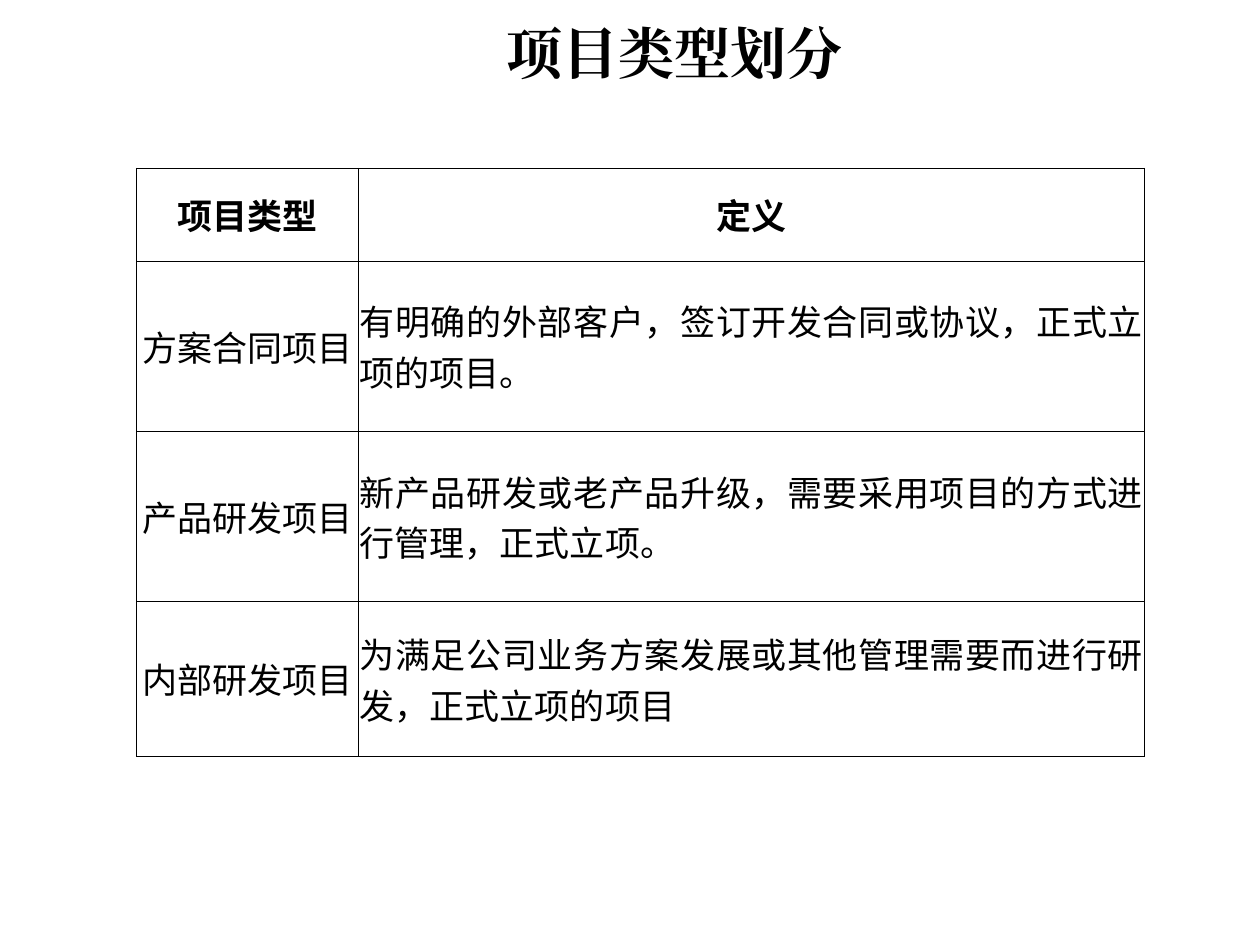
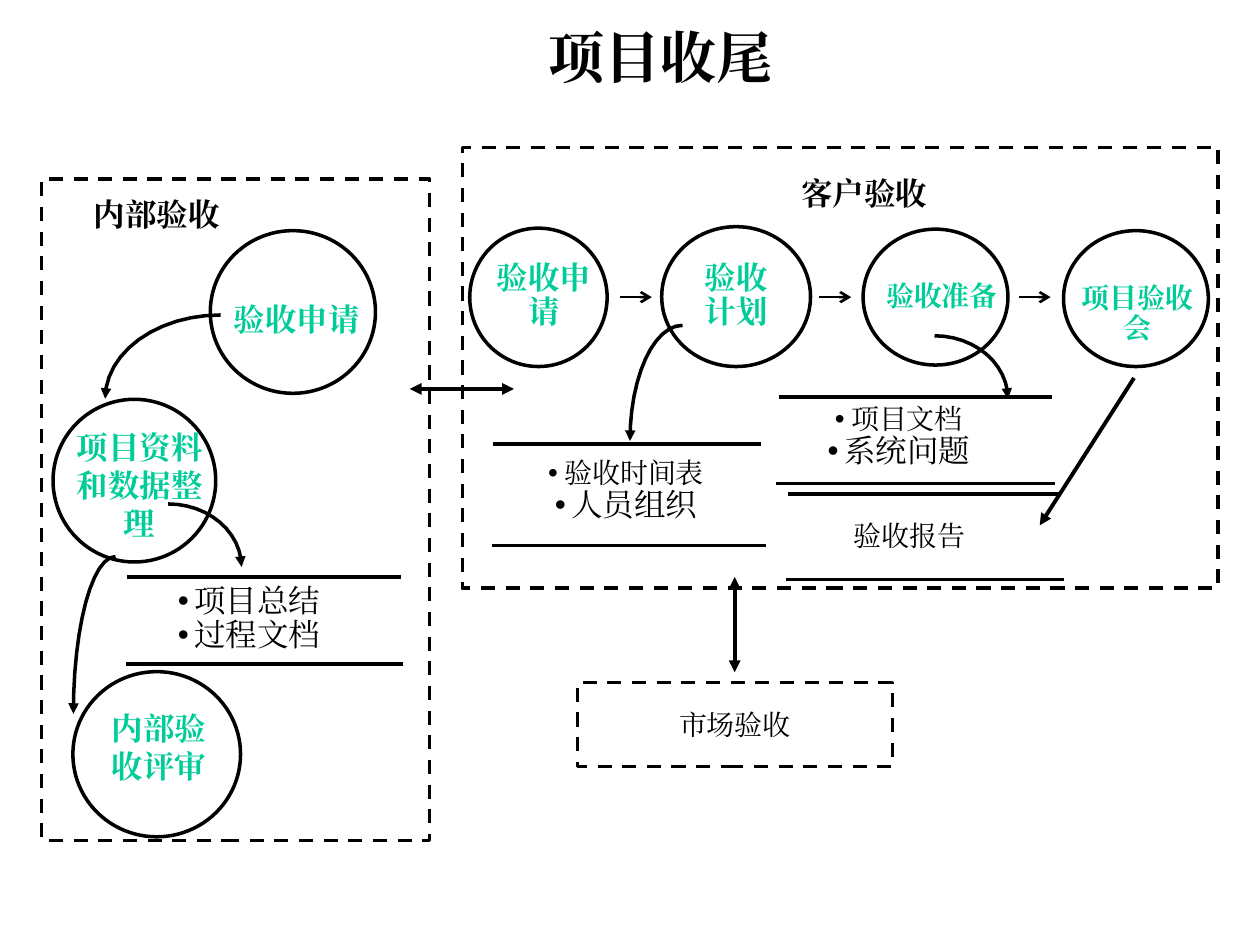
from math import cos, pi, sin
from lxml.etree import SubElement
from pptx import Presentation
from pptx.dml.color import RGBColor
from pptx.enum.dml import MSO_LINE
from pptx.enum.shapes import MSO_CONNECTOR as Link, MSO_SHAPE as Shape
from pptx.enum.text import MSO_ANCHOR as Anchor, PP_ALIGN as Align
from pptx.oxml.ns import qn
from pptx.util import Cm, Pt

BLACK, WHITE, GREEN = "000000", "FFFFFF", "00CC99"
SERIF, SANS = "Times New Roman", "Noto Sans CJK SC"


def tint(fill, color):
    fill.solid()
    fill.fore_color.rgb = RGBColor.from_string(color)


def write(frame, lines, sizes, color=BLACK, bold=False, face=SERIF,
          align=Align.CENTER, space=1.0, dots=False):
    for i, (line, size) in enumerate(zip(lines, sizes)):
        para = frame.paragraphs[0] if i == 0 else frame.add_paragraph()
        para.alignment = align
        para.line_spacing = space
        if dots:
            props = para._p.get_or_add_pPr()
            props.set("marL", str(Cm(0.33)))
            props.set("indent", str(-Cm(0.33)))
            shade = SubElement(props, qn("a:buClr"))
            SubElement(shade, qn("a:srgbClr"), val=BLACK)
            SubElement(props, qn("a:buFont"), typeface="Arial")
            SubElement(props, qn("a:buChar"), char="•")
        run = para.add_run()
        run.text = line
        for name, value in {"size": Pt(size), "bold": bold, "name": face}.items():
            setattr(run.font, name, value)
        tint(run.font.fill, color)
        SubElement(run._r.get_or_add_rPr(), qn("a:ea"), typeface=face)


deck = Presentation()
deck.slide_width, deck.slide_height = Cm(25.4), Cm(19.05)
pages = []
for text, box in [
    ("项目类型划分", (9.96, 0, 9.1, 2.11)),
    ("项目收尾", (10.8, 0.36, 6.98, 1.55)),
]:
    page = deck.slides.add_slide(deck.slide_layouts[5])
    title = page.shapes.title
    for name, value in zip(("left", "top", "width", "height"), box):
        setattr(title, name, Cm(value))
    title.text_frame.vertical_anchor = Anchor.MIDDLE
    write(title.text_frame, [text], [32], bold=True, align=Align.LEFT)
    pages.append(page)
types, close = pages

rows = [
    ("项目类型", "定义"),
    ("方案合同项目", "有明确的外部客户，签订开发合同或协议，正式立项的项目。"),
    ("产品研发项目", "新产品研发或老产品升级，需要采用项目的方式进行管理，正式立项。"),
    ("内部研发项目", "为满足公司业务方案发展或其他管理需要而进行研发，正式立项的项目"),
]
table = types.shapes.add_table(4, 2, Cm(2.75), Cm(3.39), Cm(20.32), Cm(11.85)).table
for col, width in zip(table.columns, (4.47, 15.85)):
    col.width = Cm(width)
for row, height in zip(table.rows, (1.87, 3.43, 3.43, 3.12)):
    row.height = Cm(height)
for r, row in enumerate(rows):
    for c, text in enumerate(row):
        cell = table.cell(r, c)
        look = {"margin_left": Cm(0.03), "margin_right": Cm(0.03),
                "vertical_anchor": Anchor.MIDDLE}
        for name, value in look.items():
            setattr(cell, name, value)
        align = Align.JUSTIFY if r and c else Align.CENTER
        write(cell.text_frame, [text], [20], bold=r == 0, face=SANS, align=align)
        props = cell._tc.get_or_add_tcPr()
        for side in ("lnL", "lnR", "lnT", "lnB"):
            edge = SubElement(props, qn("a:" + side), w=str(Pt(0.23)))
            ink = SubElement(edge, qn("a:solidFill"))
            SubElement(ink, qn("a:srgbClr"), val=BLACK)
        tint(cell.fill, WHITE)

strokes = []
frames = [
    (9.32, 2.97, 15.24, 8.89),
    (0.84, 3.61, 7.82, 13.34),
    (11.64, 13.76, 6.35, 1.69),
]
rings = [
    (4.24, 4.65, 3.33, 3.28),
    (1.07, 8.05, 3.28, 3.28),
    (1.47, 13.54, 3.38, 3.33),
    (9.47, 4.6, 2.77, 2.79),
    (13.34, 4.57, 3, 2.82),
    (17.4, 4.62, 2.92, 2.74),
    (21.44, 4.65, 2.92, 2.74),
]
for kind, boxes, dash in [(Shape.RECTANGLE, frames, MSO_LINE.DASH),
                          (Shape.OVAL, rings, None)]:
    for box in boxes:
        shape = close.shapes.add_shape(kind, *map(Cm, box))
        if dash:
            tint(shape.fill, WHITE)
            shape.line.dash_style = dash
            market = shape
        else:
            shape.fill.background()
        shape.shadow.inherit = False
        strokes.append((shape, 2, {}))
market.text_frame.vertical_anchor = Anchor.MIDDLE
write(market.text_frame, ["市场验收"], [16])

head = {"color": BLACK, "bold": True}
step = {"color": GREEN, "bold": True}
tight = {**step, "space": 0.9}
items = {"space": 0.9, "dots": True}
labels = [
    ((1.47, 3.81, 3.38, 1.02), ["内部验收"], [18], head),
    ((15.65, 3.38, 3.55, 1.02), ["客户验收"], [18], head),
    ((4.45, 5.92, 3.07, 1.02), ["验收申请"], [18], step),
    ((1.09, 8.51, 3.45, 2.54), ["项目资料和数据整理"], [18], step),
    ((1.7, 14.17, 3.02, 1.78), ["内部验收评审"], [18], step),
    ((9.65, 5.16, 2.64, 1.63), ["验收申请"], [18], tight),
    ((13.69, 5.16, 2.31, 1.63), ["验收计划"], [18], tight),
    ((17.35, 5.56, 3.28, 0.86), ["验收准备"], [16], tight),
    ((21.29, 5.61, 3.28, 1.47), ["项目验收会"], [16], tight),
    ((10.13, 9.14, 4.98, 1.55), ["验收时间表", "人员组织"], [16, 18], items),
    ((15.44, 8.05, 5.36, 1.55), ["项目文档", "系统问题"], [16, 18], items),
    ((2.34, 11.68, 5.36, 1.63), ["项目总结", "过程文档"], [18, 18], items),
    ((15.65, 10.41, 5.36, 0.86), ["验收报告"], [16], {"space": 0.9}),
]
for box, lines, sizes, look in labels:
    frame = close.shapes.add_textbox(*map(Cm, box)).text_frame
    frame.word_wrap = True
    write(frame, lines, sizes, **look)

tail = {"tailEnd": "triangle"}
both = {"headEnd": "triangle", **tail}
bars = [
    (9.93, 15.34, 8.95), (9.91, 15.44, 11),
    (15.7, 21.21, 8), (15.65, 21.26, 9.75),
    (15.88, 21.39, 9.96), (15.85, 21.44, 11.68),
    (2.57, 8.08, 11.63), (2.54, 8.13, 13.39),
]
lines = [((x1, y, x2, y), 2, {}) for x1, x2, y in bars]
for i in range(3):
    x = 12.5 + 4.02 * i
    lines.append(((x, 5.99, x + 0.64, 5.99), 1.5, {"tailEnd": "arrow"}))
lines += [
    ((22.86, 7.62, 20.96, 10.59), 2.25, tail),
    ((8.26, 7.84, 10.36, 7.84), 2.25, both),
    ((14.81, 11.63, 14.81, 13.55), 2.25, both),
]
for ends, width, tips in lines:
    link = close.shapes.add_connector(Link.STRAIGHT, *map(Cm, ends))
    strokes.append((link, width, tips))

bends = [
    (4.45, 6.35, 2.12, 8.04),
    (3.39, 10.16, 4.87, 11.43),
    (2.33, 11.22, 1.48, 14.39),
    (13.76, 6.56, 12.7, 8.89),
    (18.84, 6.77, 20.32, 8.04),
]
for x1, y1, x2, y2 in bends:
    turns = [pi / 2 * i / 12 for i in range(1, 13)]
    path = [(Cm(x1 + (x2 - x1) * sin(t)), Cm(y2 + (y1 - y2) * cos(t))) for t in turns]
    pen = close.shapes.build_freeform(Cm(x1), Cm(y1))
    pen.add_line_segments(path, close=False)
    bend = pen.convert_to_shape()
    bend.fill.background()
    bend.shadow.inherit = False
    strokes.append((bend, 2, tail))

for shape, width, tips in strokes:
    tint(shape.line.fill, BLACK)
    shape.line.width = Pt(width)
    props = shape._element.spPr
    for end, kind in tips.items():
        SubElement(props.find(qn("a:ln")), qn("a:" + end), type=kind)
    if props.find(qn("a:effectLst")) is None:
        SubElement(props, qn("a:effectLst"))

deck.save("out.pptx")
